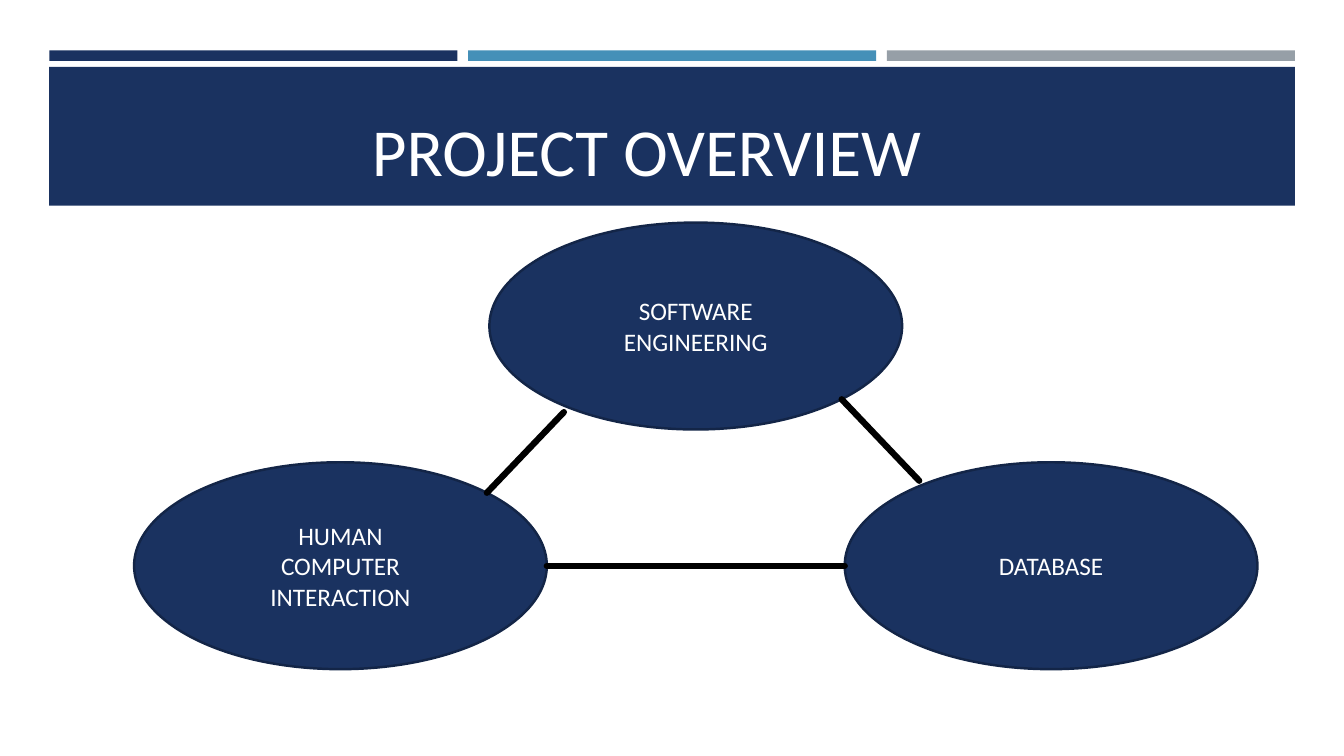
import pptx
import pptx.util
import pptx.dml.color
import pptx.enum.shapes
import pptx.enum.text
import pptx.oxml.ns
import lxml.etree
from dataclasses import dataclass

Pt = pptx.util.Pt
RGBColor = pptx.dml.color.RGBColor
Shape = pptx.enum.shapes.MSO_SHAPE
Align = pptx.enum.text.PP_ALIGN
Anchor = pptx.enum.text.MSO_ANCHOR
qn = pptx.oxml.ns.qn


@dataclass(frozen=True)
class Theme:
    navy: str = "1A3260"
    blue: str = "4590B8"
    grey: str = "969FA7"
    outline: str = "132547"
    link: str = "000000"
    text: str = "FFFFFF"
    font: str = "Calibri"
    title_size: float = 48
    topic_size: float = 18
    outline_width: float = 1.75
    link_width: float = 4.5


class SlideBuilder:
    def __init__(self, slide, theme):
        self.slide = slide
        self.theme = theme

    def style(self, paragraph, size, alignment):
        paragraph.alignment = alignment
        paragraph.font.name = self.theme.font
        paragraph.font.size = Pt(size)
        paragraph.font.color.rgb = RGBColor.from_string(self.theme.text)

    def shape(self, kind, left, top, width, height, fill):
        shape = self.slide.shapes.add_shape(kind, Pt(left), Pt(top), Pt(width), Pt(height))
        shape.shadow.inherit = False
        shape.fill.solid()
        shape.fill.fore_color.rgb = RGBColor.from_string(fill)
        shape.line.fill.background()
        return shape

    def bar(self, left, top, width, height, fill):
        self.shape(Shape.RECTANGLE, left, top, width, height, fill)

    def title(self, text, left, top, width, height, indent):
        title = self.slide.shapes.title
        title.left, title.top, title.width, title.height = map(Pt, (left, top, width, height))
        frame = title.text_frame
        frame.text = text
        frame.auto_size = pptx.enum.text.MSO_AUTO_SIZE.NONE
        frame.vertical_anchor = Anchor.BOTTOM
        frame.margin_left = Pt(indent)
        frame.margin_bottom = Pt(0)
        self.style(frame.paragraphs[0], self.theme.title_size, Align.LEFT)
        self.slide.shapes.element.append(title.element)

    def topic(self, text, left, top, width, height):
        ellipse = self.shape(Shape.OVAL, left, top, width, height, self.theme.navy)
        ellipse.line.color.rgb = RGBColor.from_string(self.theme.outline)
        ellipse.line.width = Pt(self.theme.outline_width)
        frame = ellipse.text_frame
        frame.text = text
        frame.vertical_anchor = Anchor.MIDDLE
        for paragraph in frame.paragraphs:
            self.style(paragraph, self.theme.topic_size, Align.CENTER)

    def link(self, start, end):
        connector = self.slide.shapes.add_connector(
            pptx.enum.shapes.MSO_CONNECTOR.STRAIGHT, *map(Pt, start + end))
        connector.line.color.rgb = RGBColor.from_string(self.theme.link)
        connector.line.width = Pt(self.theme.link_width)
        properties = connector.element.spPr
        properties.find(qn("a:ln")).set("cap", "rnd")
        lxml.etree.SubElement(properties, qn("a:effectLst"))


presentation = pptx.Presentation()
presentation.slide_width = Pt(960)
presentation.slide_height = Pt(540)
theme = Theme()
overview = SlideBuilder(
    presentation.slides.add_slide(presentation.slide_layouts[5]), theme)

band_left, band_width = 35.2, 889.8
accent_width = 291.6
accent_pitch = (band_width - accent_width) / 2
for column, accent in enumerate((theme.navy, theme.blue, theme.grey)):
    overview.bar(band_left + column * accent_pitch, 36, accent_width, 7.5, accent)
overview.bar(band_left, 47.8, band_width, 99.2, theme.navy)
overview.title("PROJECT OVERVIEW", 46, 57.6, 868.4, 77.8, 219.6)

topic_width, topic_height = 294.8, 147.8
lower_top = 330.2
for topic, left, top in (
    ("SOFTWARE\nENGINEERING", 349.6, 159),
    ("HUMAN\nCOMPUTER\nINTERACTION", 95.8, lower_top),
    ("DATABASE", 603.4, lower_top),
):
    overview.topic(topic, left, top, topic_width, topic_height)

for start, end in (
    ((390.6, 404.2), (603.4, 404.2)),
    ((347.8, 352), (402.8, 294.4)),
    ((601.2, 285.2), (656.6, 343.4)),
):
    overview.link(start, end)

presentation.save("out.pptx")
